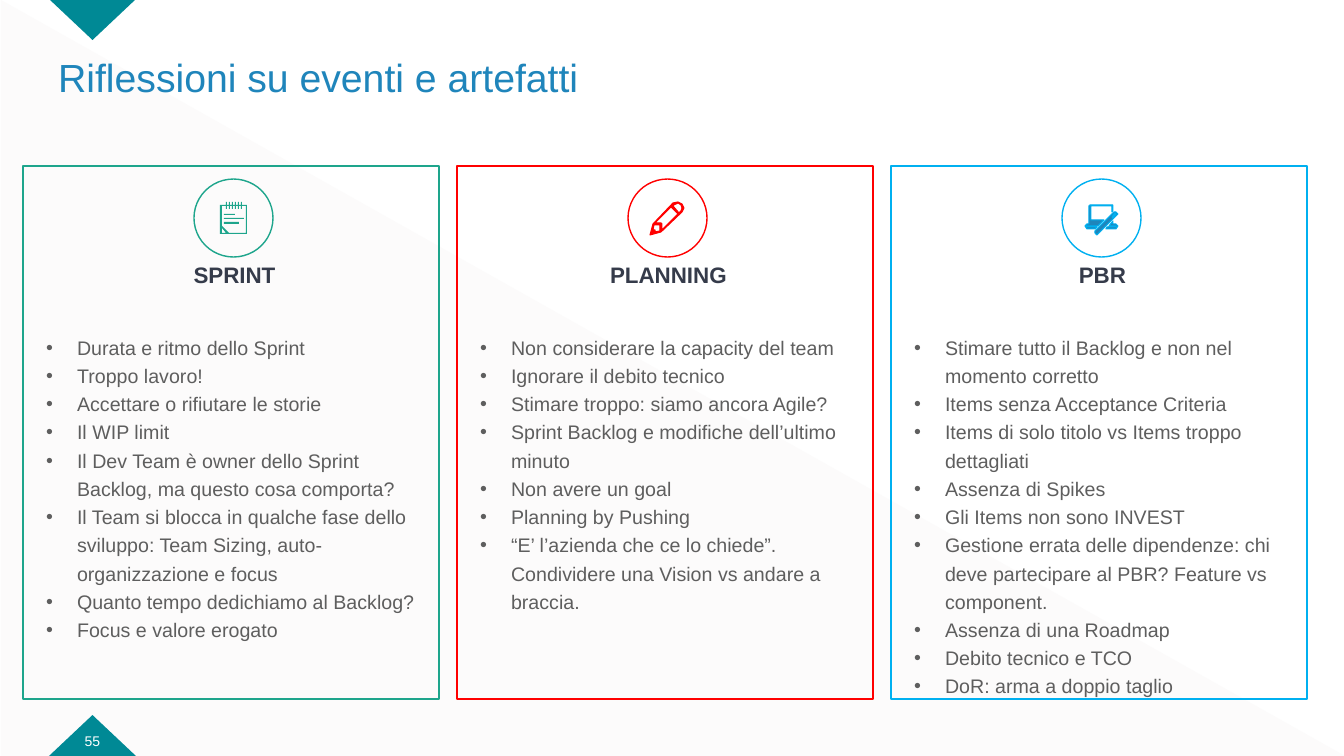
import pptx
import pptx.util
import pptx.dml.color
import pptx.enum.shapes
import pptx.enum.text
import lxml.etree

PX = 914400 / 100.8
Pt = pptx.util.Pt
SHAPES = pptx.enum.shapes.MSO_SHAPE
ALIGN = pptx.enum.text.PP_ALIGN
ANCHOR = pptx.enum.text.MSO_ANCHOR
GROW = pptx.enum.text.MSO_AUTO_SIZE.SHAPE_TO_FIT_TEXT


def px(*lengths):
    return [round(length * PX) for length in lengths]


def paint(target, color):
    """Give a font, fill or line a solid colour."""
    color_format = target.color if hasattr(target, "color") else None
    if color_format is None:
        target.solid()
        color_format = target.fore_color
    color_format.rgb = pptx.dml.color.RGBColor.from_string(color)


presentation = pptx.Presentation()
presentation.slide_width, presentation.slide_height = px(1344, 756)
slide = presentation.slides.add_slide(presentation.slide_layouts.get_by_name("Comparison"))
title, *lists, spare = slide.placeholders
spare.element.getparent().remove(spare.element)

# Background triangles, placed behind the text
backdrop = [
    (SHAPES.ISOSCELES_TRIANGLE, (1, 0, 1344, 756), 0, "FCFBFB"),
    (SHAPES.ISOSCELES_TRIANGLE, (49, -1, 87, 41), 180, "008995"),
    (SHAPES.ISOSCELES_TRIANGLE, (49, 715, 87, 41), 0, "008995"),
]
for position, (kind, box, rotation, color) in enumerate(backdrop):
    triangle = slide.shapes.add_shape(kind, *px(*box))
    triangle.shadow.inherit = False
    triangle.rotation = rotation
    triangle.adjustments[0] = 0 if position == 0 else 0.5
    paint(triangle.fill, color)
    triangle.line.fill.background()
    triangle.element.getparent().insert(2 + position, triangle.element)

# Title
title.left, title.top, title.width, title.height = px(48, 55, 1259, 50)
title.text_frame.text = "Riflessioni su eventi e artefatti"
title.text_frame.vertical_anchor = ANCHOR.MIDDLE
paragraph = title.text_frame.paragraphs[0]
paragraph.alignment = ALIGN.LEFT
paragraph.line_spacing = 0.9
paragraph.font.size = Pt(28)
paragraph.font.name = "Arial"
paint(paragraph.font, "1F85BB")

# Page number
number = slide.shapes.add_textbox(*px(62, 728, 61, 25))
number.text_frame.word_wrap = True
number.text_frame.text = "55"
paragraph = number.text_frame.paragraphs[0]
paragraph.alignment = ALIGN.CENTER
paragraph.font.size = Pt(10)
paragraph.font.name = "Arial"
paint(paragraph.font, "FFFFFF")

# Icon outlines, in px from the top left of each icon
notepad = [
    [(0, 3), (27, 3), (27, 32), (0, 32)],
    [(2, 4), (26, 4), (26, 31), (9, 31), (2, 24)],
    [(2, 26), (6, 31), (2, 31)],
]
bars = [(4, 12, 15, 13), (4, 16, 24, 17), (4, 20, 19, 22)]
for ring in range(6):
    ring_left = 6 + 3 * ring
    bars += [(ring_left, 0, ring_left + 1, 3), (ring_left, 4, ring_left + 1, 7)]
for left, top, right, bottom in bars:
    notepad.append([(left, top), (right, top), (right, bottom), (left, bottom)])

pencil = [
    [(28, 0), (23, 1), (3, 22), (0, 33), (11, 30), (32, 10), (34, 6), (32, 2)],
    [(10, 29), (5, 30), (5, 28), (3, 28), (4, 23), (10, 23)],
    [(12, 28), (12, 22), (11, 21), (5, 21), (21, 5), (28, 12)],
    [(31, 9), (29, 11), (23, 4), (24, 3), (28, 1), (31, 3), (32, 6)],
]
laptop = [
    [(12, 22), (2, 22), (1, 21), (13, 21), (19, 15), (6, 15), (6, 1), (27, 1), (27, 7),
     (28, 6), (28, 0), (5, 0), (4, 1), (4, 19), (2, 19), (0, 21), (2, 24), (10, 24)],
    [(31, 19), (28, 19), (28, 16), (24, 21), (31, 21), (31, 22), (22, 22), (21, 24),
     (31, 24), (33, 21)],
    [(33, 9), (31, 7), (29, 7), (10, 26), (10, 28), (12, 30), (13, 29), (32, 10)],
    [(31, 9), (28, 13), (27, 12), (30, 8)],
]

# Columns: heading, accent, icon, icon fill, icon line, icon offset, list height, items
columns = [
    ("SPRINT", "1EA58C", notepad, "1EA58C", None, (197, 202), 324, [
        "Durata e ritmo dello Sprint",
        "Troppo lavoro!",
        "Accettare o rifiutare le storie",
        "Il WIP limit",
        "Il Dev Team è owner dello Sprint Backlog, ma questo cosa comporta?",
        "Il Team si blocca in qualche fase dello sviluppo: Team Sizing, "
        "auto-organizzazione e focus",
        "Quanto tempo dedichiamo al Backlog?",
        "Focus e valore erogato",
    ]),
    ("PLANNING", "FF0000", pencil, "FF0000", "FF0000", (193, 202), 322, [
        "Non considerare la capacity del team",
        "Ignorare il debito tecnico",
        "Stimare troppo: siamo ancora Agile?",
        "Sprint Backlog e modifiche dell’ultimo minuto",
        "Non avere un goal",
        "Planning by Pushing",
        "“E’ l’azienda che ce lo chiede”. Condividere una Vision vs andare a braccia.",
    ]),
    ("PBR", "00B0F0", laptop, "1F85BB", "00B0F0", (194, 205), 381, [
        "Stimare tutto il Backlog e non nel momento corretto",
        "Items senza Acceptance Criteria",
        "Items di solo titolo vs Items troppo dettagliati",
        "Assenza di Spikes",
        "Gli Items non sono INVEST",
        "Gestione errata delle dipendenze: chi deve partecipare al PBR? "
        "Feature vs component.",
        "Assenza di una Roadmap",
        "Debito tecnico e TCO",
        "DoR: arma a doppio taglio",
    ]),
]
for index, (name, accent, icon, icon_fill, icon_line, offset, height, items) in enumerate(columns):
    column_left = 23 + 434 * index

    # Frame and icon circle
    for kind, box in [(SHAPES.RECTANGLE, (column_left, 166, 416, 533)),
                      (SHAPES.OVAL, (column_left + 171, 179, 79, 78))]:
        outline = slide.shapes.add_shape(kind, *px(*box))
        outline.shadow.inherit = False
        outline.fill.background()
        paint(outline.line, accent)
        outline.line.width = Pt(1)

    # Icon
    builder = slide.shapes.build_freeform(*icon[0][0], scale=PX)
    for contour in icon:
        builder.move_to(*contour[0])
        builder.add_line_segments(contour[1:], close=True)
    drawing = builder.convert_to_shape(*px(column_left + offset[0], offset[1]))
    drawing.shadow.inherit = False
    paint(drawing.fill, icon_fill)
    if icon_line:
        paint(drawing.line, icon_line)
        drawing.line.width = Pt(0.75)
    else:
        drawing.line.fill.background()

    # Heading
    heading = slide.shapes.add_textbox(*px(column_left + 97, 267, 229, 21))
    frame = heading.text_frame
    frame.margin_left = frame.margin_right = frame.margin_top = frame.margin_bottom = 0
    frame.word_wrap = True
    frame.auto_size = GROW
    frame.text = name
    paragraph = frame.paragraphs[0]
    paragraph.alignment = ALIGN.CENTER
    paragraph.line_spacing = Pt(15.2)
    paragraph.space_after = Pt(13)
    paragraph.font.size = Pt(16)
    paragraph.font.bold = True
    paragraph.font.name = "Arial"
    paint(paragraph.font, "353B4A")

    # Bulleted list
    body = lists[index]
    body.left, body.top, body.width, body.height = px(column_left + 13, 326, 395, height)
    frame = body.text_frame
    frame.text = "\n".join(items)
    frame.vertical_anchor = ANCHOR.TOP
    frame.auto_size = GROW
    for paragraph in frame.paragraphs:
        properties = paragraph._p.get_or_add_pPr()
        indent = px(31)[0]
        properties.set("marL", str(indent))
        properties.set("indent", str(-indent))
        for tag, key, value in [("buFont", "typeface", "Arial"), ("buChar", "char", "•")]:
            bullet = lxml.etree.SubElement(properties, pptx.oxml.ns.qn("a:" + tag))
            bullet.set(key, value)
        paragraph.line_spacing = 1.2
        paragraph.space_before = Pt(0)
        paragraph.font.size = Pt(14)
        paragraph.font.bold = False
        paragraph.font.name = "Arial"
        paint(paragraph.font, "5E5E5E")

presentation.save("out.pptx")
